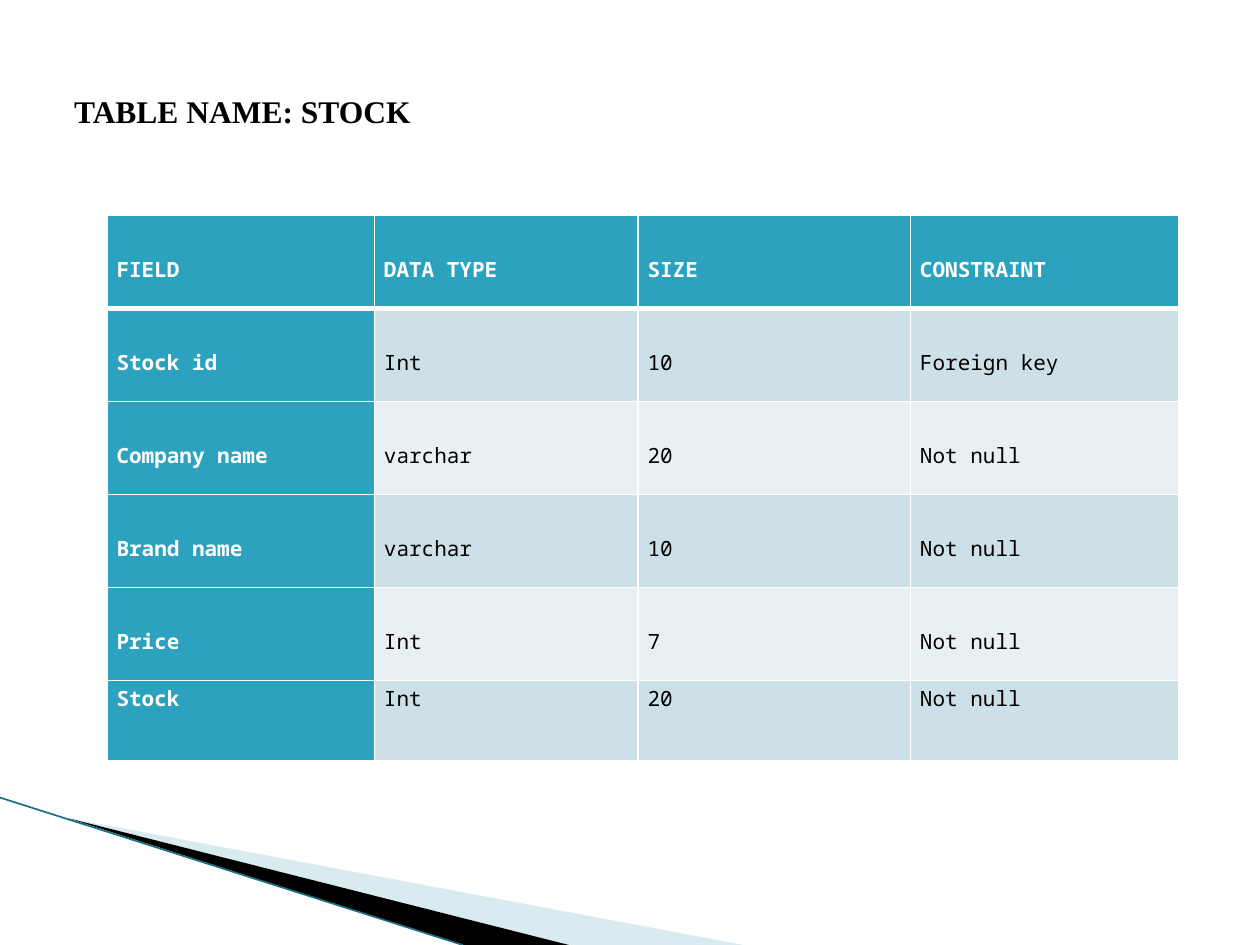
from lxml.etree import SubElement
from pptx import Presentation
from pptx.dml.color import RGBColor
from pptx.enum.shapes import MSO_CONNECTOR as Connector
from pptx.enum.text import MSO_ANCHOR as Anchor, PP_ALIGN as Align
from pptx.oxml.ns import qn
from pptx.util import Inches, Pt

WIDTH, HEIGHT = Inches(10), Inches(7.5)
TEAL, PALE, PALER = "2DA2BF", "CDE0E8", "E8F0F4"
WHITE, BLACK = "FFFFFF", "000000"
COLUMNS = [2.12, 2.09, 2.16, 2.13]
ROWS = [0.74] * 5 + [0.64]
FIELDS = [
    ("FIELD", "DATA TYPE", "SIZE", "CONSTRAINT"),
    ("Stock id", "Int", "10", "Foreign key"),
    ("Company name", "varchar", "20", "Not null"),
    ("Brand name", "varchar", "10", "Not null"),
    ("Price", "Int", "7", "Not null"),
    ("Stock", "Int", "20", "Not null"),
]


def rgb(color):
    return RGBColor.from_string(color)


def percent_box(left, top, width, height):
    return [int(share * size / 100) for share, size in
            zip((left, top, width, height), (WIDTH, HEIGHT) * 2)]


def point_in(box, x, y):
    left, top, width, height = box
    return int(left + x * width), int(top + y * height)


def add_text(p, text, font, size, color, bold):
    r = p.add_run()
    r.text = text
    r.font.name = font
    r.font.size = Pt(size)
    r.font.bold = bold
    r.font.color.rgb = rgb(color)


def set_frame(sp, frame):
    left, top, width, height = frame
    outline = next(sp._element.iter(qn("a:path")))
    outline.set("w", str(width))
    outline.set("h", str(height))
    for pt in outline.iter(qn("a:pt")):
        pt.set("x", str(int(pt.get("x")) + sp.left - left))
        pt.set("y", str(int(pt.get("y")) + sp.top - top))
    sp.left, sp.top, sp.width, sp.height = frame


def add_wedge(s, box, frame, points, color, alpha=100):
    start, *rest = [point_in(box, x, y) for x, y in points]
    builder = s.shapes.build_freeform(*start)
    builder.add_line_segments(rest, close=True)
    sp = builder.convert_to_shape()
    set_frame(sp, frame)
    sp.shadow.inherit = False
    sp.fill.solid()
    sp.fill.fore_color.rgb = rgb(color)
    sp.line.fill.background()
    if alpha < 100:
        fill = sp.fill._xPr.find(qn("a:solidFill"))
        SubElement(fill[0], qn("a:alpha"), val=str(alpha * 1000))


def add_corner(s, box):
    tip = (0.09, 0.14)
    add_wedge(s, box, percent_box(7.8, 72.9, 41.6, 21.1),
              [tip, (0.98, 1), (0.75, 1)], "A0CBDC", 40)
    add_wedge(s, box, percent_box(-0.6, 84.4, 41.6, 12.3),
              [tip, (0.75, 1), (0.61, 1)], BLACK)
    edge = s.shapes.add_connector(
        Connector.STRAIGHT, *point_in(box, 0, 0), *point_in(box, 0.61, 1))
    edge.line.color.rgb = rgb("1B6F85")
    edge.line.width = Pt(0.95)
    SubElement(edge._element.spPr, qn("a:effectLst"))


def add_title(s, box):
    tf = s.shapes.add_textbox(*box).text_frame
    tf.word_wrap = True
    p = tf.paragraphs[0]
    p.alignment = Align.JUSTIFY
    p.line_spacing = 1.5
    add_text(p, "TABLE NAME: STOCK", "Times New Roman", 18, BLACK, True)


def add_borders(cell, widths):
    tc_pr = cell._tc.get_or_add_tcPr()
    for side, width in zip("LRTB", widths):
        line = SubElement(tc_pr, qn(f"a:ln{side}"), w=str(Pt(width)))
        fill = SubElement(line, qn("a:solidFill"))
        SubElement(fill, qn("a:srgbClr"), val=WHITE)


def fill_cell(cell, text, row, column):
    heading = row == 0 or column == 0
    last = row == len(ROWS) - 1
    add_borders(cell, (1, 1, 3 if row == 1 else 1, 3 if row == 0 else 1))
    cell.fill.solid()
    cell.fill.fore_color.rgb = rgb(
        TEAL if heading else PALE if row % 2 else PALER)
    cell.margin_left = cell.margin_right = Pt(5.4)
    cell.margin_top = cell.margin_bottom = 0
    cell.vertical_anchor = Anchor.TOP if last else Anchor.MIDDLE
    p = cell.text_frame.paragraphs[0]
    p.line_spacing = 1.15 if last else 1.5
    p.space_after = Pt(10)
    add_text(p, text, "Noto Sans Mono", 12,
             WHITE if heading else BLACK, heading)


def add_fields(s, box):
    width, height = box[2:]
    table = s.shapes.add_table(len(ROWS), len(COLUMNS), *box).table
    for column, share in zip(table.columns, COLUMNS):
        column.width = int(width * share / sum(COLUMNS))
    for row, share in zip(table.rows, ROWS):
        row.height = int(height * share / sum(ROWS))
    for i, texts in enumerate(FIELDS):
        for j, text in enumerate(texts):
            fill_cell(table.cell(i, j), text, i, j)


def main():
    prs = Presentation()
    prs.slide_width, prs.slide_height = WIDTH, HEIGHT
    s = prs.slides.add_slide(prs.slide_layouts[6])
    add_corner(s, percent_box(0, 84.4, 60.2, 15.6))
    add_title(s, percent_box(4.9, 7.1, 50, 6.7))
    add_fields(s, percent_box(8.5, 22.8, 85.1, 57.7))
    prs.save("out.pptx")


if __name__ == "__main__":
    main()
